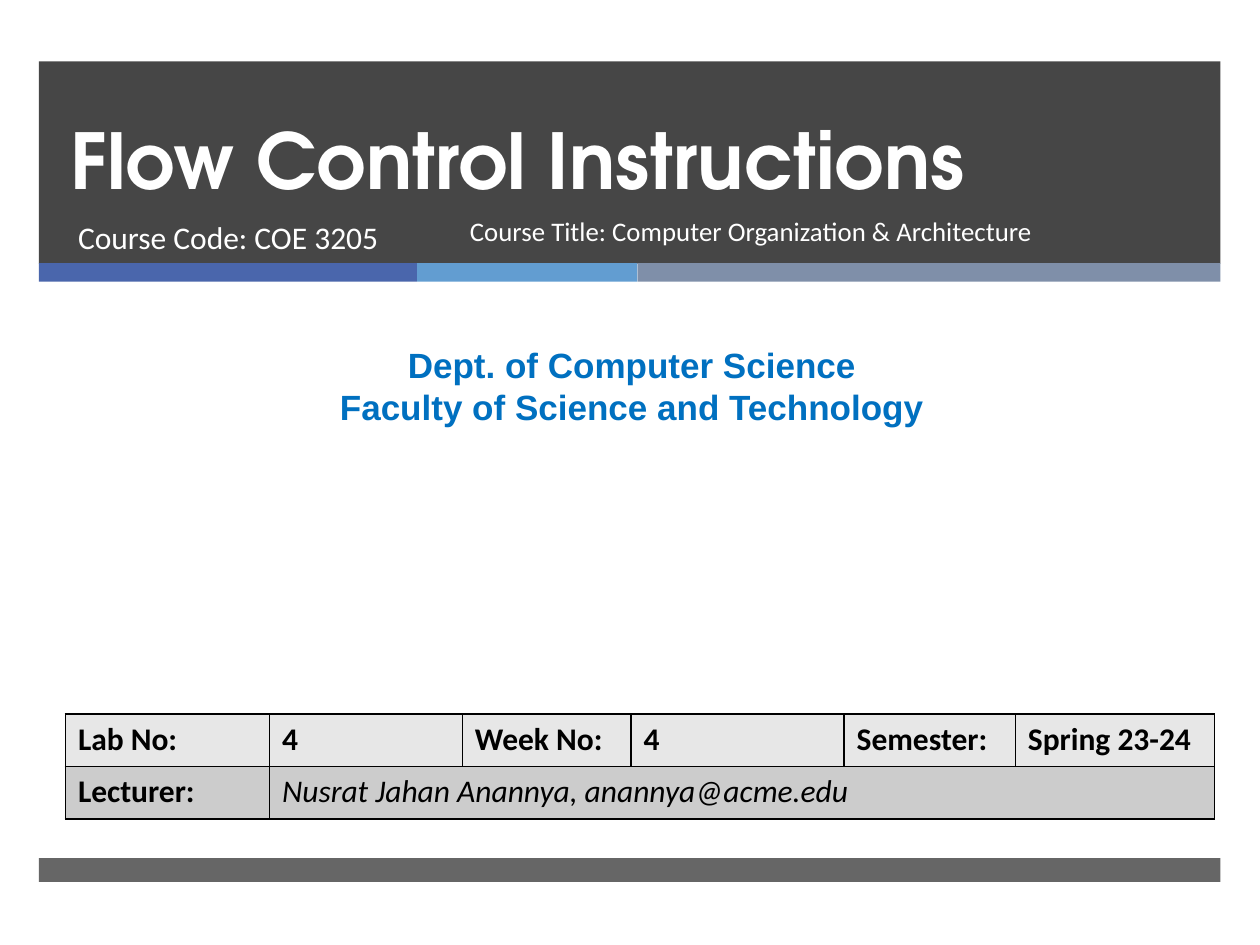
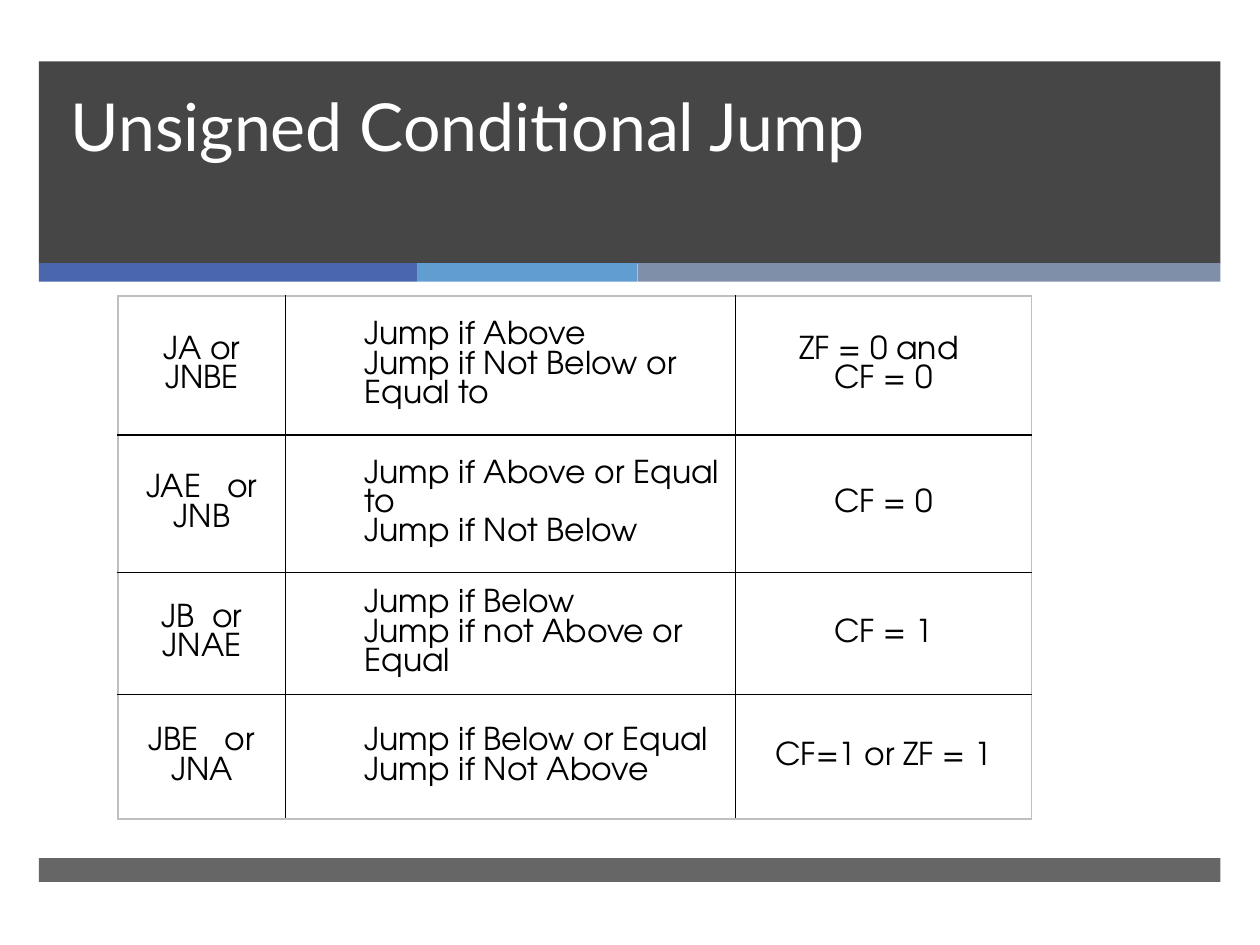
"""Build two slides on flow control instructions and conditional jumps."""
from dataclasses import dataclass
from itertools import accumulate
from typing import Any, NamedTuple

from lxml.etree import SubElement
from pptx import Presentation
from pptx.dml.color import RGBColor
from pptx.enum.shapes import MSO_SHAPE as Preset
from pptx.enum.text import MSO_ANCHOR as Anchor, MSO_AUTO_SIZE as AutoSize, PP_ALIGN as Align
from pptx.oxml import parse_xml
from pptx.oxml.ns import nsdecls, qn
from pptx.util import Pt


@dataclass(frozen=True)
class Theme:
    """Colours, fonts and type sizes of the deck."""
    dark: str = "262626"
    accents: tuple[str, ...] = ("4A66AC", "629DD1", "7F8FA9")
    white: str = "FFFFFF"
    black: str = "000000"
    blue: str = "0070C0"
    light_row: str = "E7E7E7"
    dark_row: str = "CCCCCC"
    frame: str = "BFBFBF"
    body_font: str = "Calibri"
    display_font: str = "TeX Gyre Adventor"
    title_font: str = "Lato"
    department_font: str = "Arial"
    cover_size: float = 44
    title_size: float = 37.8
    department_size: float = 20
    body_size: float = 18
    course_size: float = 15.3


THEME = Theme()


class Box(NamedTuple):
    """Place and size in points."""
    left: float
    top: float
    width: float
    height: float


class Band(NamedTuple):
    """A filled rectangle with its opacity in percent."""
    box: Box
    color: str
    opacity: int = 100


class Style(NamedTuple):
    """Look of a run of text."""
    size: float
    font: str
    color: str
    bold: bool = False
    italic: bool = False


class Grid(NamedTuple):
    """Place, column widths, row heights and frame colour of a table."""
    left: float
    top: float
    columns: tuple[float, ...]
    rows: tuple[float, ...]
    frame: str


BAND_LEFT, BAND_WIDTH = 22.3, 675.1
ACCENT_WIDTHS = (216, 126, 333.1)
ACCENT_LEFTS = accumulate(ACCENT_WIDTHS[:-1], initial=BAND_LEFT)
BANDS = [
    Band(Box(BAND_LEFT, 35.1, BAND_WIDTH, 115.5), THEME.dark, 85),
    *(Band(Box(left, 150.4, width, 10.6), color)
      for left, width, color in zip(ACCENT_LEFTS, ACCENT_WIDTHS, THEME.accents)),
    Band(Box(BAND_LEFT, 490.3, BAND_WIDTH, 13.7), THEME.dark, 70),
]

COVER_TITLE = Style(THEME.cover_size, THEME.display_font, THEME.white, bold=True)
SLIDE_TITLE = Style(THEME.title_size, THEME.title_font, THEME.white)
COURSE_CODE = Style(THEME.body_size, THEME.body_font, THEME.white)
COURSE_TITLE = Style(THEME.course_size, THEME.body_font, THEME.white)
DEPARTMENT = Style(THEME.department_size, THEME.department_font, THEME.blue, bold=True)
LABEL = Style(THEME.body_size, THEME.body_font, THEME.black, bold=True)
LECTURER = Style(THEME.body_size, THEME.body_font, THEME.black, italic=True)
JUMP = Style(THEME.body_size, THEME.display_font, THEME.black)

TITLE_FORMAT = {"alignment": Align.LEFT, "line_spacing": Pt(46), "space_before": Pt(0)}
LEFT_FORMAT = {"alignment": Align.LEFT, "space_before": Pt(0)}
CENTER_FORMAT = {"alignment": Align.CENTER}
JUMP_CELL = {"vertical_anchor": Anchor.MIDDLE} | {
    f"margin_{side}": Pt(4.5) for side in ("left", "right", "top", "bottom")}
MEANING_INDENT = 40.5

LAB_GRID = Grid(37.4, 408, (116.6, 110.2, 96.5, 121.7, 97.9, 113.7), (30, 30), THEME.black)
LAB_LABELS = ("Lab No:", "4", "Week No:", "4", "Semester:", "Spring 23-24")
LAB_LECTURER = ("Lecturer:", "Nusrat Jahan Anannya, anannya@acme.edu")

JUMP_GRID = Grid(67.5, 169.2, (95.8, 257, 169.2), (79.4, 78.7, 69.5, 71.3), THEME.frame)
JUMPS = [
    (("JA or", "JNBE"), ("Jump if Above", "Jump if Not Below or Equal to"),
     ("ZF = 0 and ", "CF = 0")),
    (("JAE   or", "JNB"), ("Jump if Above or Equal to", "Jump if Not Below"), ("CF = 0",)),
    (("JB  or", "JNAE"), ("Jump if Below", "Jump if not Above or Equal"), ("CF = 1",)),
    (("JBE   or", "JNA"), ("Jump if Below or Equal", "Jump if Not Above"),
     ("CF=1 or ZF = 1",)),
]


def set_values(target: Any, values: dict[str, Any]) -> None:
    """Set each named attribute of the target."""
    for name, value in values.items():
        setattr(target, name, value)


def place(shape: Any, box: Box) -> None:
    """Move and size a shape."""
    set_values(shape, {name: Pt(value) for name, value in box._asdict().items()})


def write(frame: Any, lines: tuple[str, ...], style: Style, layout: dict[str, Any]) -> None:
    """Write one formatted paragraph per line."""
    for index, line in enumerate(lines):
        paragraph = frame.add_paragraph() if index else frame.paragraphs[0]
        set_values(paragraph, layout)
        run = paragraph.add_run()
        run.text = line
        set_values(run.font, {"size": Pt(style.size), "name": style.font,
                              "bold": style.bold, "italic": style.italic})
        run.font.color.rgb = RGBColor.from_string(style.color)


def fill_text(shape: Any, box: Box, lines: tuple[str, ...], style: Style,
              layout: dict[str, Any], anchor: Any = Anchor.TOP) -> None:
    """Place a text shape and write its lines."""
    place(shape, box)
    set_values(shape.text_frame, {"word_wrap": True, "auto_size": AutoSize.NONE,
                                  "vertical_anchor": anchor})
    write(shape.text_frame, lines, style, layout)


def add_band(slide: Any, band: Band) -> None:
    """Draw a borderless band."""
    shape = slide.shapes.add_shape(Preset.RECTANGLE, *map(Pt, band.box))
    shape.shadow.inherit = False
    shape.line.fill.background()
    shape.fill.solid()
    shape.fill.fore_color.rgb = RGBColor.from_string(band.color)
    if band.opacity < 100:
        color = shape.element.spPr.find(f"{qn('a:solidFill')}/{qn('a:srgbClr')}")
        SubElement(color, qn("a:alpha"), val=str(band.opacity * 1000))


def add_slide(presentation: Any, layout_index: int, title: str, box: Box, style: Style) -> Any:
    """Add a slide with the shared bands behind its title."""
    slide = presentation.slides.add_slide(presentation.slide_layouts[layout_index])
    for band in BANDS:
        add_band(slide, band)
    for placeholder in slide.placeholders:
        placeholder.element.getparent().append(placeholder.element)
    fill_text(slide.shapes.title, box, (title,), style, TITLE_FORMAT, Anchor.BOTTOM)
    return slide


def add_text(slide: Any, box: Box, lines: tuple[str, ...], style: Style,
             layout: dict[str, Any]) -> None:
    """Add a text box."""
    fill_text(slide.shapes.add_textbox(*map(Pt, box)), box, lines, style, layout)


def set_borders(cell: Any, colors: dict[str, str]) -> None:
    """Draw one-point borders on the sides of a cell."""
    properties = cell._tc.get_or_add_tcPr()
    for index, (side, color) in enumerate(colors.items()):
        properties.insert(index, parse_xml(
            f'<a:ln{side} {nsdecls("a")} w="{Pt(1)}"><a:solidFill>'
            f'<a:srgbClr val="{color}"/></a:solidFill></a:ln{side}>'))


def add_grid(slide: Any, grid: Grid, fills: tuple[str, ...]) -> Any:
    """Add a table with bordered cells and one fill per row."""
    row_count, column_count = len(grid.rows), len(grid.columns)
    box = Box(grid.left, grid.top, sum(grid.columns), sum(grid.rows))
    table = slide.shapes.add_table(row_count, column_count, *map(Pt, box)).table
    set_values(table, {"first_row": False, "horz_banding": False})
    for column, width in zip(table.columns, grid.columns):
        column.width = Pt(width)
    for row_index, height in enumerate(grid.rows):
        table.rows[row_index].height = Pt(height)
        for column_index in range(column_count):
            cell = table.cell(row_index, column_index)
            cell.fill.solid()
            cell.fill.fore_color.rgb = RGBColor.from_string(fills[row_index])
            outer = {"L": column_index == 0, "R": column_index == column_count - 1,
                     "T": row_index == 0, "B": row_index == row_count - 1}
            set_borders(cell, {side: grid.frame if edge else THEME.black
                               for side, edge in outer.items()})
    return table


def build_cover(presentation: Any) -> None:
    """Build the cover with the course and lab details."""
    slide = add_slide(presentation, 0, "Flow Control Instructions",
                      Box(33.1, 35.3, 614.9, 85.7), COVER_TITLE)
    fill_text(slide.placeholders[1], Box(37.4, 121, 219.6, 38.2),
              ("Course Code: COE 3205",), COURSE_CODE, LEFT_FORMAT)
    add_text(slide, Box(5.8, 193, 710.6, 55.4),
             ("Dept. of Computer Science", "Faculty of Science and Technology"),
             DEPARTMENT, CENTER_FORMAT)
    table = add_grid(slide, LAB_GRID, (THEME.light_row, THEME.dark_row))
    table.cell(1, 1).merge(table.cell(1, len(LAB_LABELS) - 1))
    for column, label in enumerate(LAB_LABELS):
        write(table.cell(0, column).text_frame, (label,), LABEL, LEFT_FORMAT)
    for column, (text, style) in enumerate(zip(LAB_LECTURER, (LABEL, LECTURER))):
        write(table.cell(1, column).text_frame, (text,), style, LEFT_FORMAT)
    add_text(slide, Box(261.4, 121, 337.7, 38.2),
             ("Course Title: Computer Organization & Architecture",),
             COURSE_TITLE, LEFT_FORMAT | {"line_spacing": 0.9})


def build_jumps(presentation: Any) -> None:
    """Build the table of unsigned conditional jumps."""
    slide = add_slide(presentation, 5, "Unsigned Conditional Jump",
                      Box(33.1, 35.3, 471.6, 62.6), SLIDE_TITLE)
    table = add_grid(slide, JUMP_GRID, (THEME.white,) * len(JUMPS))
    layouts = (CENTER_FORMAT, LEFT_FORMAT, CENTER_FORMAT)
    for row, jump in enumerate(JUMPS):
        for column, (lines, layout) in enumerate(zip(jump, layouts)):
            cell = table.cell(row, column)
            set_values(cell, JUMP_CELL)
            if layout is LEFT_FORMAT:
                cell.margin_left = Pt(4.5 + MEANING_INDENT)
            write(cell.text_frame, lines, JUMP, layout)


def main() -> None:
    """Build and save the presentation."""
    presentation = Presentation()
    set_values(presentation, {"slide_width": Pt(720), "slide_height": Pt(540)})
    build_cover(presentation)
    build_jumps(presentation)
    presentation.save("out.pptx")


if __name__ == "__main__":
    main()
